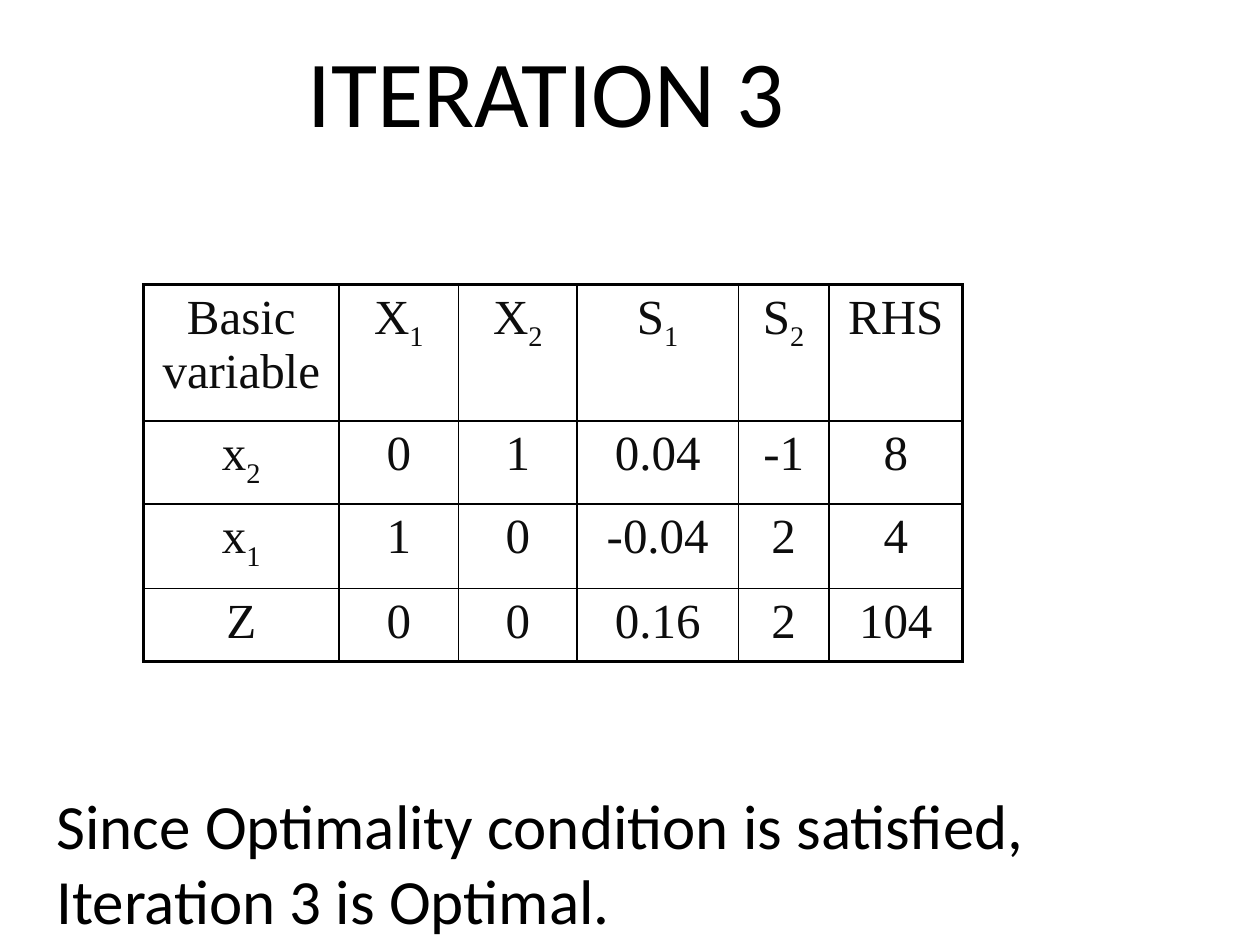
from lxml.etree import SubElement
from pptx import Presentation
from pptx.dml.color import RGBColor
from pptx.enum.text import MSO_ANCHOR, MSO_AUTO_SIZE, PP_ALIGN
from pptx.oxml.ns import qn
from pptx.util import Inches, Pt

BLACK, INK = "000000", "0D0D0D"
THIN, THICK = 1, 2.25
COLUMN_WIDTHS = [1.55, 0.95, 0.94, 1.28, 0.72, 1.06]
ROW_HEIGHTS = [1.08, 0.66, 0.67, 0.58]
# An underscore starts a subscript.
TABLEAU = [
    ["Basic variable", "X_1", "X_2", "S_1", "S_2", "RHS"],
    ["x_2", "0", "1", "0.04", "-1", "8"],
    ["x_1", "1", "0", "-0.04", "2", "4"],
    ["Z", "0", "0", "0.16", "2", "104"],
]


def color(hex_string):
    return RGBColor.from_string(hex_string)


def add_run(paragraph, text, size, font_name, hex_string):
    run = paragraph.add_run()
    run.text = text
    run.font.size = Pt(size)
    run.font.name = font_name
    run.font.color.rgb = color(hex_string)
    return run


def place(shape, left, top, width, height):
    shape.left, shape.top = Inches(left), Inches(top)
    shape.width, shape.height = Inches(width), Inches(height)


def add_title(slide, text):
    title = slide.shapes.title
    place(title, 2.32, 0.21, 4.03, 1.01)
    frame = title.text_frame
    frame.word_wrap = False
    frame.auto_size = MSO_AUTO_SIZE.NONE
    frame.vertical_anchor = MSO_ANCHOR.TOP
    paragraph = frame.paragraphs[0]
    paragraph.alignment = PP_ALIGN.CENTER
    add_run(paragraph, text, 54, "Calibri", BLACK)


def add_conclusion(slide, text):
    box = slide.shapes.add_textbox(0, 0, 0, 0)
    place(box, 0.35, 6.19, 9.65, 1.31)
    box.text_frame.word_wrap = True
    add_run(box.text_frame.paragraphs[0], text, 36, "Calibri", BLACK)


def set_borders(cell, widths):
    """Draw the cell's sides; widths maps L, R, T, B (in that order) to points."""
    properties = cell._tc.get_or_add_tcPr()
    for side, width in widths.items():
        line = SubElement(properties, qn(f"a:ln{side}"), w=str(Pt(width)))
        fill = SubElement(line, qn("a:solidFill"))
        SubElement(fill, qn("a:srgbClr"), val=BLACK)


def fill_cell(cell, text):
    cell.margin_left = cell.margin_right = Inches(0.07)
    cell.margin_top = cell.margin_bottom = Inches(0.05)
    cell.fill.background()
    paragraph = cell.text_frame.paragraphs[0]
    paragraph.alignment = PP_ALIGN.CENTER
    base, _, subscript = text.partition("_")
    add_run(paragraph, base, 28, "Times New Roman", INK)
    if subscript:
        run = add_run(paragraph, subscript, 28, "Times New Roman", INK)
        run.font._element.set("baseline", "-25000")


def add_tableau(slide, left, top):
    last_row, last_column = len(ROW_HEIGHTS) - 1, len(COLUMN_WIDTHS) - 1
    frame = slide.shapes.add_table(
        len(ROW_HEIGHTS), len(COLUMN_WIDTHS), Inches(left), Inches(top),
        Inches(sum(COLUMN_WIDTHS)), Inches(sum(ROW_HEIGHTS)))
    table = frame.table
    table.first_row = table.horz_banding = False
    for column, width in zip(table.columns, COLUMN_WIDTHS):
        column.width = Inches(width)
    for row, height in zip(table.rows, ROW_HEIGHTS):
        row.height = Inches(height)
    for r, values in enumerate(TABLEAU):
        for c, text in enumerate(values):
            cell = table.cell(r, c)
            outer = {"L": c == 0, "R": c == last_column,
                     "T": r == 0, "B": r == last_row}
            set_borders(cell, {side: THICK if edge else THIN
                               for side, edge in outer.items()})
            fill_cell(cell, text)


def main():
    presentation = Presentation()
    presentation.slide_width = Inches(10)
    presentation.slide_height = Inches(7.5)
    title_only = presentation.slide_layouts[5]
    slide = presentation.slides.add_slide(title_only)
    add_tableau(slide, 1.14, 2.26)
    add_title(slide, "ITERATION 3")
    add_conclusion(slide, "Since Optimality condition is satisfied, "
                          "Iteration 3 is Optimal.")
    presentation.save("out.pptx")


if __name__ == "__main__":
    main()
